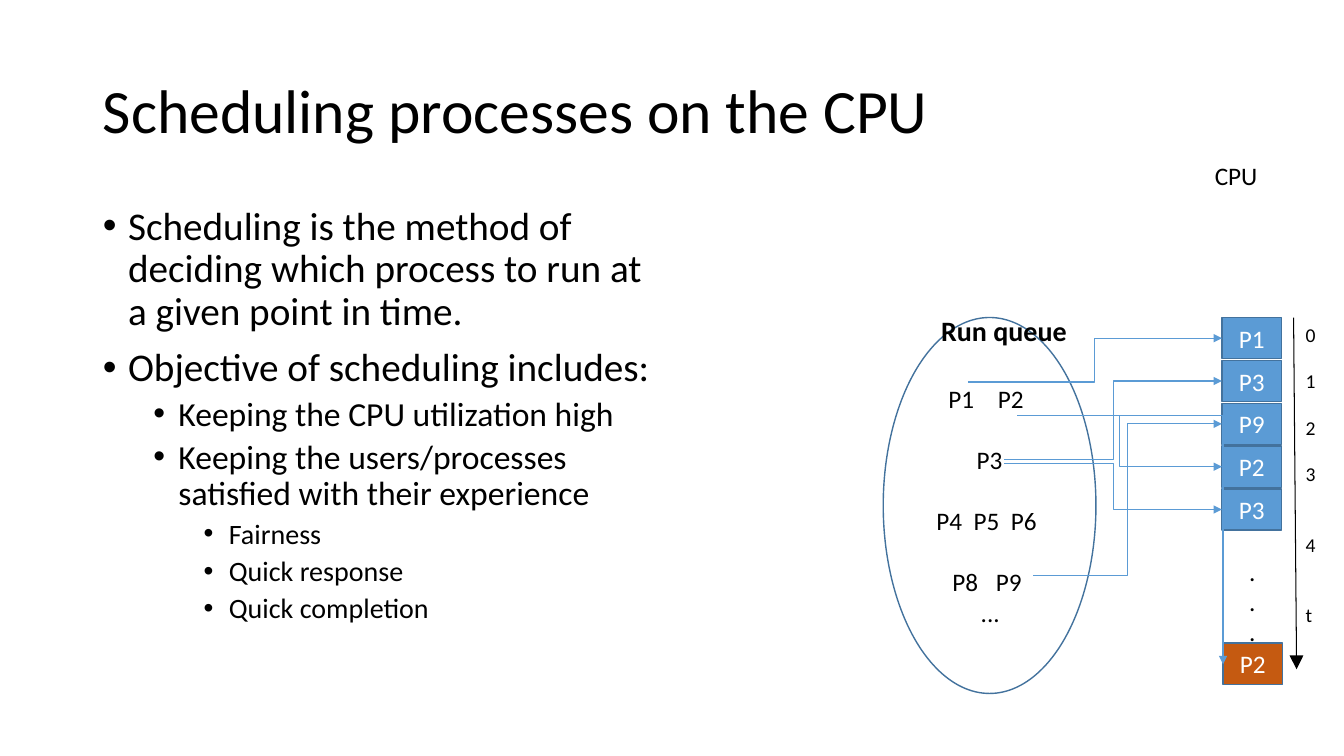
from lxml import etree
from pptx import Presentation
from pptx.dml.color import RGBColor
from pptx.enum.shapes import MSO_CONNECTOR, MSO_SHAPE
from pptx.enum.text import MSO_ANCHOR, MSO_AUTO_SIZE, PP_ALIGN
from pptx.oxml.ns import qn
from pptx.util import Inches, Pt

RECT, OVAL = MSO_SHAPE.RECTANGLE, MSO_SHAPE.OVAL
STRAIGHT, ELBOW = MSO_CONNECTOR.STRAIGHT, MSO_CONNECTOR.ELBOW
LEFT, CENTER, RIGHT = PP_ALIGN.LEFT, PP_ALIGN.CENTER, PP_ALIGN.RIGHT
TOP, MIDDLE = MSO_ANCHOR.TOP, MSO_ANCHOR.MIDDLE
NO_FIT = MSO_AUTO_SIZE.NONE

# Content
FONT = "Calibri"
COLORS = {"text": "000000", "light": "FFFFFF", "slot": "5B9BD5",
          "late": "C55A11", "outline": "43729D"}
TITLE = "Scheduling processes on the CPU"
BULLETS = [
    (0, "Scheduling is the method of deciding which process to run at a given point in time."),
    (0, "Objective of scheduling includes:"),
    (1, "Keeping the CPU utilization high"),
    (1, "Keeping the users/processes satisfied with their experience"),
    (2, "Fairness"),
    (2, "Quick response"),
    (2, "Quick completion"),
]
LEVELS = [(28, 10), (24, 5), (20, 5)]  # size, space before
# Queue rows: processes with their tab stops, space before
QUEUE = [
    ([("P1", 0.24), ("P2", 0.73)], 0),
    ([("P3", 0.52)], 22),
    ([("P4", 0.12), ("P5", 0.49), ("P6", 0.86)], 22),
    ([("P8", 0.28), ("P9", 0.71)], 22),
    ([("...", 0.56)], 0),
]
SLOTS = ["P1", "P3", "P9", "P2", "P3"]
TIMES = [("0", 0), ("1", 16.5), ("2", 16.5), ("3", 16.5), ("4", 33.5), ("t", 33.5)]
# Start of each route in the queue, index of its slot
ROUTES = [((9.6, 3.79), 0), ((9.96, 4.56), 1), ((9.96, 4.6), 4),
          ((10.25, 5.71), 2), ((10.09, 4.12), 3)]
SLOT_X, SLOT_Y, SLOT_W, SLOT_H, SLOT_STEP = 12.12, 3.15, 0.59, 0.41, 0.425

prs = Presentation()
prs.slide_width, prs.slide_height = Inches(13.33), Inches(7.5)
slide = prs.slides.add_slide(prs.slide_layouts[1])
shapes = slide.shapes


def rgb(name):
    return RGBColor.from_string(COLORS[name])


def place(sp, *box):
    for side, value in zip(("left", "top", "width", "height"), box):
        setattr(sp, side, Inches(value))


def write(p, text, size, color="text", bold=False):
    r = p.add_run()
    r.text = text
    for key, value in {"name": FONT, "size": Pt(size), "bold": bold}.items():
        setattr(r.font, key, value)
    r.font.color.rgb = rgb(color)


def fill_frame(sp, lines, size, align=LEFT, anchor=TOP, color="text", bold=False):
    tf = sp.text_frame
    frame = {"word_wrap": True, "auto_size": NO_FIT, "vertical_anchor": anchor}
    for key, value in frame.items():
        setattr(tf, key, value)
    for i, (text, gap) in enumerate(lines):
        p = tf.add_paragraph() if i else tf.paragraphs[0]
        p.alignment = align
        p.space_before = Pt(gap)
        write(p, text, size, color, bold)
    return tf


def add_text(box, lines, size, **style):
    sp = shapes.add_textbox(*map(Inches, box))
    fill_frame(sp, lines, size, **style)
    return sp


def add_block(kind, box, fill=None):
    sp = shapes.add_shape(kind, *map(Inches, box))
    sp.shadow.inherit = False
    if fill:
        sp.fill.solid()
        sp.fill.fore_color.rgb = rgb(fill)
    else:
        sp.fill.background()
    sp.line.color.rgb = rgb("outline")
    sp.line.width = Pt(1)
    return sp


def add_process(x, y, name, fill):
    sp = add_block(RECT, (x, y, SLOT_W, SLOT_H), fill)
    fill_frame(sp, [(name, 0)], 18, align=CENTER, anchor=MIDDLE, color="light")


def add_arrow(kind, start, end, color, head="med"):
    cx = shapes.add_connector(kind, *map(Inches, start + end))
    cx.line.color.rgb = rgb(color)
    cx.line.width = Pt(0.75)
    etree.SubElement(cx.line._get_or_add_ln(), qn("a:tailEnd"),
                     type="triangle", w=head, len=head)
    etree.SubElement(cx._element.spPr, qn("a:effectLst"))
    return cx


# Title and bullets
title, body = slide.placeholders[0], slide.placeholders[1]
place(title, 0.92, 0.4, 11.5, 1.45)
tf = fill_frame(title, [(TITLE, 0)], 44, anchor=MIDDLE)
tf.paragraphs[0].line_spacing = 0.9

place(body, 0.92, 2, 5.67, 4.76)
tf = body.text_frame
tf.auto_size = NO_FIT
for i, (level, text) in enumerate(BULLETS):
    size, gap = LEVELS[level]
    p = tf.add_paragraph() if i else tf.paragraphs[0]
    p.level, p.alignment, p.line_spacing = level, LEFT, 0.9
    p.space_before = Pt(gap if i else 0)
    pPr = p._p.get_or_add_pPr()
    pPr.set("marL", str(Inches(0.25 + 0.5 * level)))
    pPr.set("indent", str(Inches(-0.25)))
    etree.SubElement(pPr, qn("a:buFont"), typeface="Arial")
    etree.SubElement(pPr, qn("a:buChar"), char="•")
    write(p, text, size)

# Run queue
queue = add_block(OVAL, (8.76, 3.15, 2.11, 3.73))
rows = [("".join("\t" + name for name, _ in row), gap) for row, gap in QUEUE]
tf = fill_frame(queue, rows, 18, anchor=MIDDLE)
for p, (row, _) in zip(tf.paragraphs, QUEUE):
    tabs = etree.SubElement(p._p.get_or_add_pPr(), qn("a:tabLst"))
    for _, stop in row:
        etree.SubElement(tabs, qn("a:tab"), pos=str(Inches(stop)), algn="l")
add_text((8.8, 3.06, 1.88, 0.43), [("Run queue", 0)], 20, align=RIGHT, bold=True)

# Time axis
add_arrow(STRAIGHT, (12.83, 3.15), (12.86, 6.64), "text", "lg")
add_text((12.85, 3.15, 0.35, 3.83), TIMES, 14)

# CPU slots
add_text((11.95, 1.54, 0.7, 0.4), [("CPU", 0)], 18)
add_process(12.13, 6.38, "P2", "late")
for i, name in enumerate(SLOTS):
    add_process(SLOT_X, SLOT_Y + i * SLOT_STEP, name, "slot")
add_text((12.29, 5.47, 0.27, 1), [(".", 0)] * 3, 18)

# Routes from the queue to the slots
for start, i in ROUTES:
    end = (SLOT_X, SLOT_Y + i * SLOT_STEP + SLOT_H / 2)
    add_arrow(ELBOW, start, end, "slot")
late_route = add_arrow(ELBOW, (10.09, 4.12), (12.13, 6.59), "slot")
late_route._element.spPr.find(qn("a:prstGeom")).set("prst", "bentConnector2")

prs.save("out.pptx")
